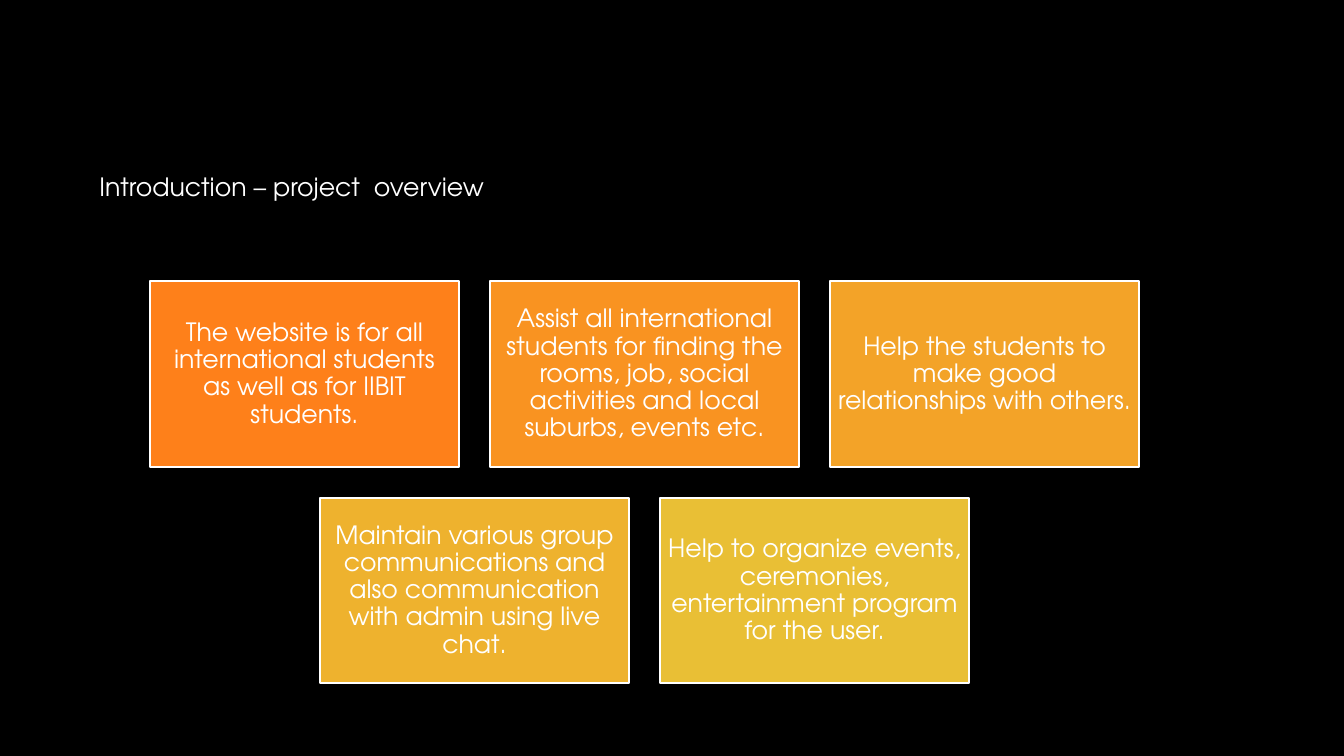
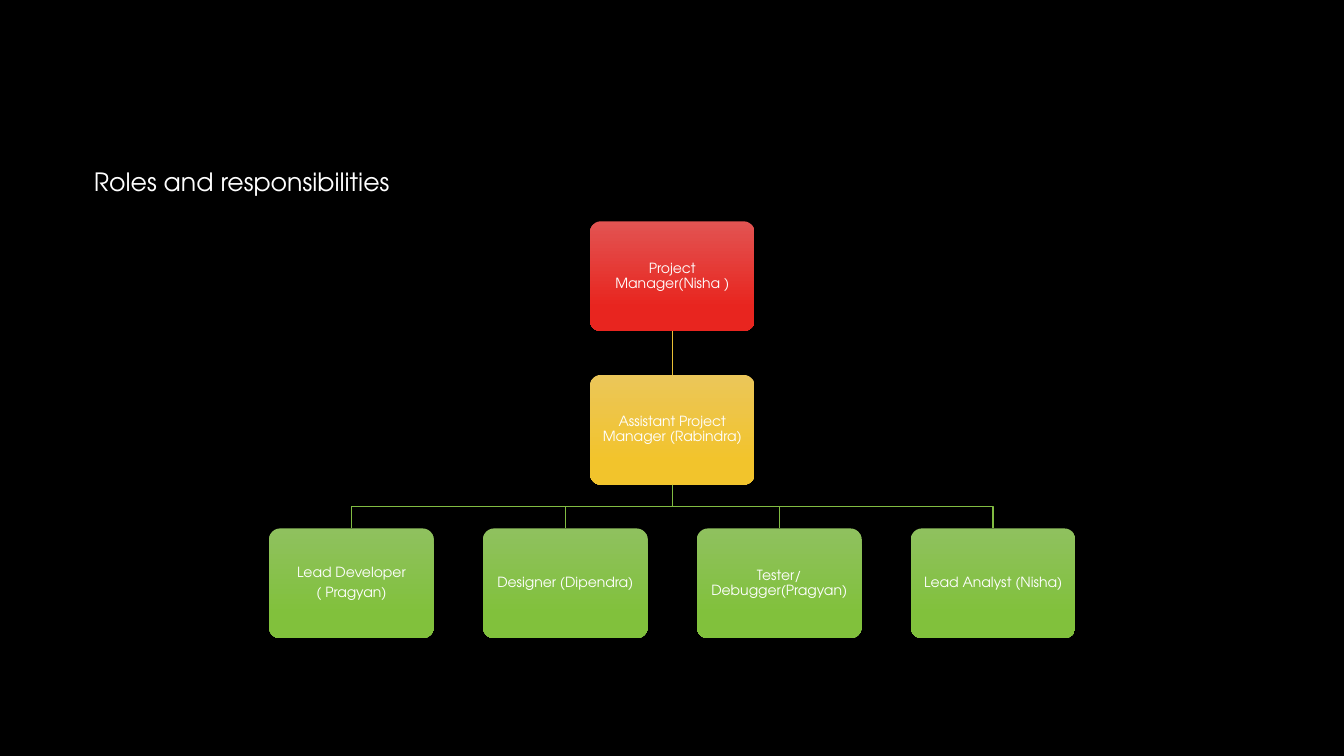
"""Build two slides: a project overview and a team chart."""
import pptx
import pptx.dml.color
import pptx.enum.shapes
import pptx.enum.text
import pptx.oxml
import pptx.util

Pt = pptx.util.Pt
Kind = pptx.enum.shapes.MSO_SHAPE
Line = pptx.enum.shapes.MSO_CONNECTOR
Align = pptx.enum.text.PP_ALIGN
Anchor = pptx.enum.text.MSO_ANCHOR
FONT = "TeX Gyre Adventor"
WHITE = "FFFFFF"


def hue(code):
    return pptx.dml.color.RGBColor.from_string(code)


def write(frame, text, size=18, align=Align.CENTER, anchor=Anchor.MIDDLE,
          space=0, pitch=0.9, pad=None, wrap=True):
    frame.text = text
    frame.word_wrap = wrap
    frame.auto_size = pptx.enum.text.MSO_AUTO_SIZE.NONE
    frame.vertical_anchor = anchor
    if pad is not None:
        frame.margin_left = frame.margin_right = Pt(pad)
        frame.margin_top = frame.margin_bottom = Pt(pad)
    for para in frame.paragraphs:
        para.alignment = align
        para.line_spacing = pitch
        para.space_before = Pt(0)
        para.space_after = Pt(space)
        for run in para.runs:
            run.font.name = FONT
            run.font.size = Pt(size)
            run.font.color.rgb = hue(WHITE)


deck = pptx.Presentation()
deck.slide_width = Pt(960)
deck.slide_height = Pt(540)
back = deck.slide_master.background.fill
back.solid()
back.fore_color.rgb = hue("000000")

heads = [
    ("Introduction – project  overview", 63.8, 119, 294),
    ("Roles and responsibilities", 59.8, 115.2, 229),
]
pages = []
for text, left, top, width in heads:
    page = deck.slides.add_slide(deck.slide_layouts[5])
    title = page.shapes.title
    title.left, title.top = Pt(left), Pt(top)
    title.width, title.height = Pt(width), Pt(29)
    write(title.text_frame, text, align=Align.LEFT, anchor=Anchor.TOP,
          pitch=1.0, wrap=False)
    pages.append(page)
goals, team = pages

rows = [
    [("The website is for all international students as well as for IIBIT students.", "FE801A"),
     ("Assist all international students for finding the rooms, job, social activities and local suburbs, events etc.", "F99321"),
     ("Help the students to make good relationships with others.", "F3A328")],
    [("Maintain various group communications and also communication with admin using live chat.", "EEB22E"),
     ("Help to organize events, ceremonies, entertainment program for the user.", "E9BF35")],
]
wide, high, gap = 221, 132.6, 21.9
for row, cards in enumerate(rows):
    start = 460.4 - (len(cards) * (wide + gap) - gap) / 2
    for col, (text, color) in enumerate(cards):
        card = goals.shapes.add_shape(
            Kind.RECTANGLE, Pt(start + col * (wide + gap)),
            Pt(201 + row * (high + gap)), Pt(wide), Pt(high))
        card.shadow.inherit = False
        card.fill.solid()
        card.fill.fore_color.rgb = hue(color)
        card.line.color.rgb = hue(WHITE)
        card.line.width = Pt(1.5)
        write(card.text_frame, text, space=6.3, pad=5.4)

ranks = [
    (["Project Manager(Nisha )"], "E25452", "E8251F"),
    (["Assistant Project Manager (Rabindra)"], "EBC659", "F2C42C"),
    (["Lead Developer\n( Pragyan)", "Designer (Dipendra)",
      "Tester/ Debugger(Pragyan)", "Lead Analyst (Nisha)"], "8FC15E", "81C13C"),
]
wide, high, step, drop, mid, head = 117.6, 78.4, 152.8, 109.7, 480.2, 158.1
tree = []
for rank, (names, light, dark) in enumerate(ranks):
    level = []
    for col, name in enumerate(names):
        axis = mid + (col - (len(names) - 1) / 2) * step
        box = team.shapes.add_shape(
            Kind.ROUNDED_RECTANGLE, Pt(axis - wide / 2),
            Pt(head + rank * drop), Pt(wide), Pt(high))
        box.adjustments[0] = 0.1
        box.shadow.inherit = False
        box.fill.gradient()
        box.fill.gradient_angle = 270
        for stop, color, place in zip(box.fill.gradient_stops, (light, dark), (0, 0.78)):
            stop.color.rgb = hue(color)
            stop.position = place
        box.line.fill.background()
        write(box.text_frame, name, size=10, space=3.5, pad=2.75)
        level.append((axis, box))
    tree.append(level)

link = team.shapes.add_connector(
    Line.STRAIGHT, Pt(mid), Pt(head + high), Pt(mid), Pt(head + drop))
link.line.color.rgb = hue("E9BF35")
link.line.width = Pt(1)
link._element.spPr.append(pptx.oxml.parse_xml(
    '<a:effectLst xmlns:a="http://schemas.openxmlformats.org/drawingml/2006/main"/>'))
link.begin_connect(tree[0][0][1], 2)
link.end_connect(tree[1][0][1], 0)

foot = head + drop + high
roof = head + 2 * drop
rail = (foot + roof) / 2
for axis, box in tree[2]:
    pen = team.shapes.build_freeform(Pt(mid), Pt(foot), scale=1.0)
    pen.add_line_segments(
        [(Pt(mid), Pt(rail)), (Pt(axis), Pt(rail)), (Pt(axis), Pt(roof))], close=False)
    elbow = pen.convert_to_shape()
    elbow.shadow.inherit = False
    elbow.fill.background()
    elbow.line.color.rgb = hue("81BB42")
    elbow.line.width = Pt(1)

deck.save("out.pptx")
